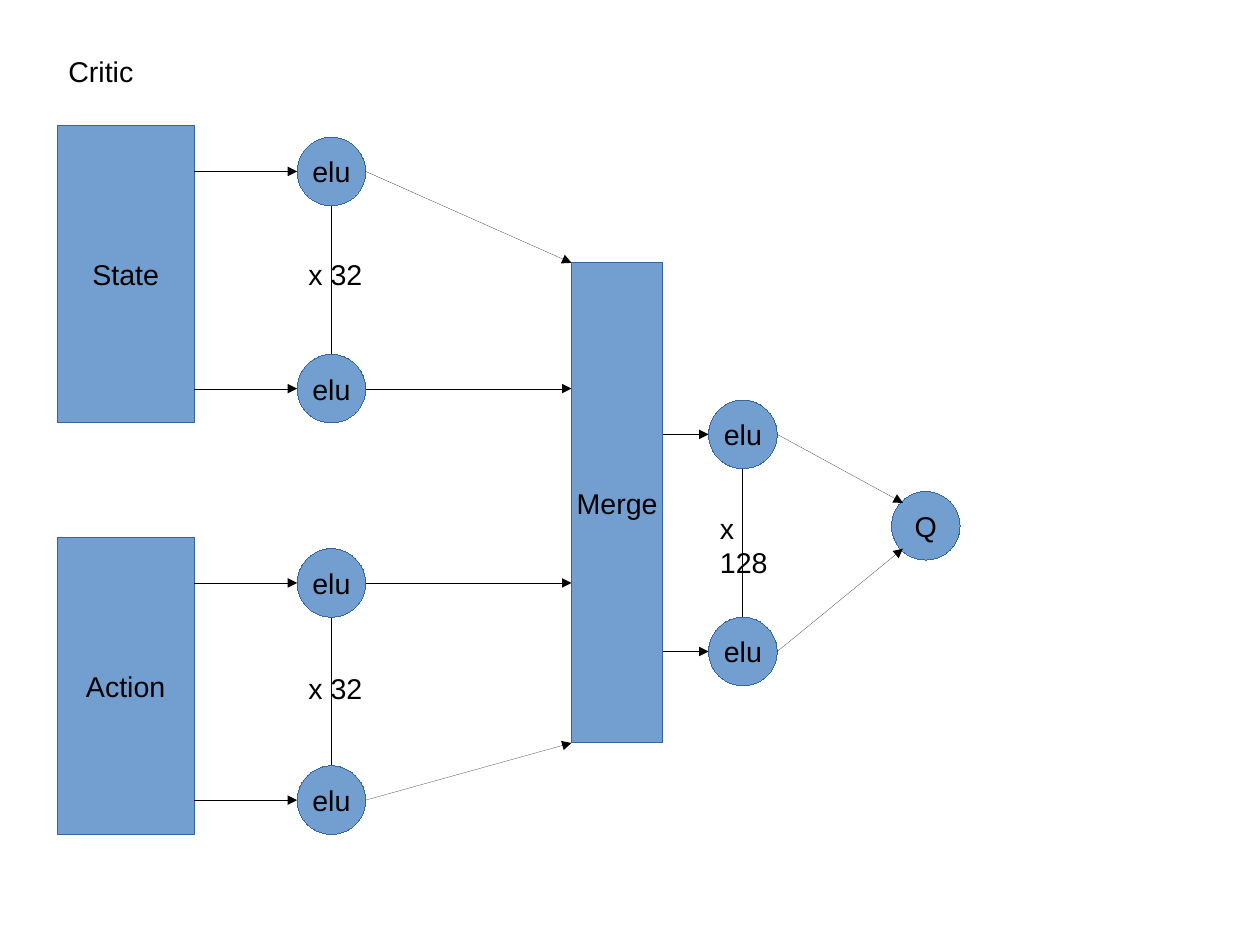
from dataclasses import dataclass

from pptx import Presentation
from pptx.dml.color import RGBColor
from pptx.enum.shapes import MSO_CONNECTOR, MSO_SHAPE
from pptx.enum.text import MSO_ANCHOR, MSO_AUTO_SIZE, PP_ALIGN
from pptx.oxml.ns import qn
from pptx.util import Cm, Inches, Pt
from lxml.etree import SubElement


@dataclass(frozen=True)
class Theme:
    """Colours, type and the grid cell of the slide."""
    fill: RGBColor = RGBColor.from_string("729FCF")
    edge: RGBColor = RGBColor.from_string("3465A4")
    ink: RGBColor = RGBColor.from_string("000000")
    font: str = "Arial"
    size: int = 18
    cell: float = 0.1


THEME = Theme()
NODE = 6
SPAN = 19


def grid(*cells):
    """Turn grid cells into slide lengths."""
    return [Inches(n * THEME.cell) for n in cells]


def write(frame, text):
    """Put one run of text in a frame."""
    run = frame.paragraphs[0].add_run()
    run.text = text
    run.font.name = THEME.font
    run.font.size = Pt(THEME.size)
    run.font.color.rgb = THEME.ink


def stroke(shape, color):
    """Give a shape a hairline and return its line element."""
    shape.line.color.rgb = color
    line = shape._element.spPr.find(qn("a:ln"))
    line.set("w", "0")
    return line


def block(slide, kind, box, text):
    """Draw a filled shape with centred text."""
    shape = slide.shapes.add_shape(kind, *grid(*box))
    shape.shadow.inherit = False
    shape.fill.solid()
    shape.fill.fore_color.rgb = THEME.fill
    stroke(shape, THEME.edge)
    frame = shape.text_frame
    frame.word_wrap = False
    frame.vertical_anchor = MSO_ANCHOR.MIDDLE
    frame.paragraphs[0].alignment = PP_ALIGN.CENTER
    write(frame, text)


def node(slide, left, top, text):
    """Draw a round unit."""
    block(slide, MSO_SHAPE.OVAL, (left, top, NODE, NODE), text)


def label(slide, box, text, wrap=True):
    """Place plain text."""
    frame = slide.shapes.add_textbox(*grid(*box)).text_frame
    frame.word_wrap = wrap
    frame.auto_size = MSO_AUTO_SIZE.SHAPE_TO_FIT_TEXT
    write(frame, text)


def link(slide, start, end, arrow=True):
    """Draw a hairline, with or without an arrowhead."""
    line = slide.shapes.add_connector(MSO_CONNECTOR.STRAIGHT, *grid(*start, *end))
    edge = stroke(line, THEME.ink)
    if arrow:
        SubElement(edge, qn("a:tailEnd"), type="triangle")
    SubElement(line._element.spPr, qn("a:effectLst"))


def layer(slide, box, source, ends, text, note):
    """Draw a pair of units, the arrows into them and the arrows out."""
    left, top, width, height = box
    mid = left + width / 2
    link(slide, (mid, top + NODE), (mid, top + height - NODE), False)
    for row, end in zip((top, top + SPAN), ends):
        node(slide, left, row, "elu")
        level = row + NODE / 2
        link(slide, (source, level), (left, level))
        link(slide, (left + width, level), end)
    drop, tall = note
    label(slide, (left, top + drop, 8, tall), text)


def branch(slide, box, name, ends, drop):
    """Draw an input block and its layer."""
    left, top, width, height = box
    block(slide, MSO_SHAPE.RECTANGLE, (left, top, 12, height), name)
    units = (left + width - NODE, top + 1, NODE, SPAN + NODE)
    layer(slide, units, left + 12, ends, "x 32", (drop, 3.8))


def merge(slide, box):
    """Draw the merge block, its layer and the output unit."""
    left, top, width, height = box
    block(slide, MSO_SHAPE.RECTANGLE, (left, top, 8, height), "Merge")
    out = left + width - NODE
    node(slide, out, top + 20, "Q")
    ends = [(out + 1, top + 21), (out + 1, top + 25)]
    units = (left + 12, top + 12, NODE, SPAN + NODE)
    layer(slide, units, left + 8, ends, "x 128", (9.2, 6.6))


def main():
    """Build and save the slide."""
    deck = Presentation()
    deck.slide_width, deck.slide_height = Cm(28), Cm(21)
    slide = deck.slides.add_slide(deck.slide_layouts[6])
    label(slide, (5, 4.2, 7.7, 3.8), "Critic", False)
    branch(slide, (5, 11, 27, 26), "State", [(50, 23), (50, 34)], 10)
    branch(slide, (5, 47, 27, 26), "Action", [(50, 51), (50, 65)], 10.2)
    merge(slide, (50, 23, 34, 42))
    deck.save("out.pptx")


if __name__ == "__main__":
    main()
